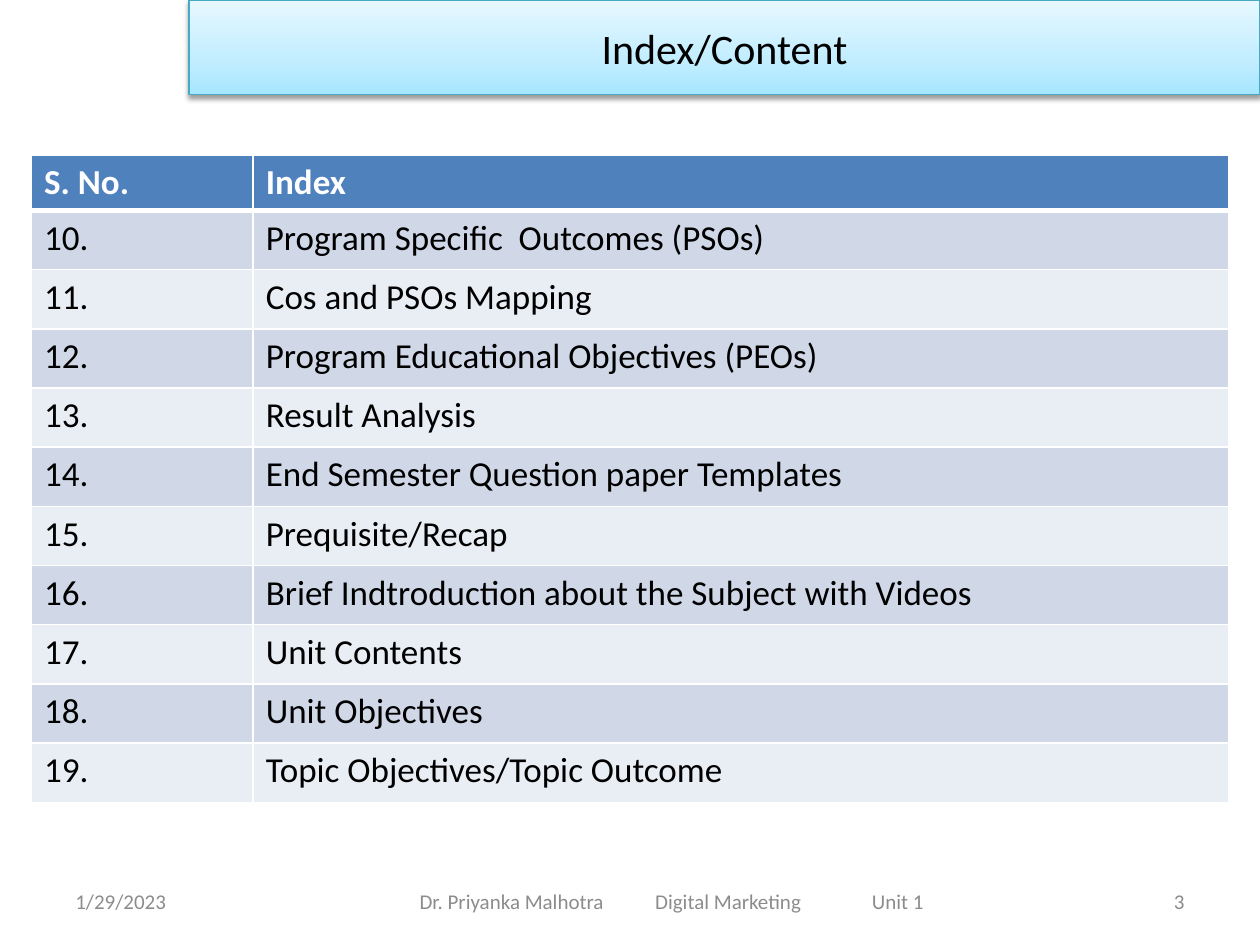
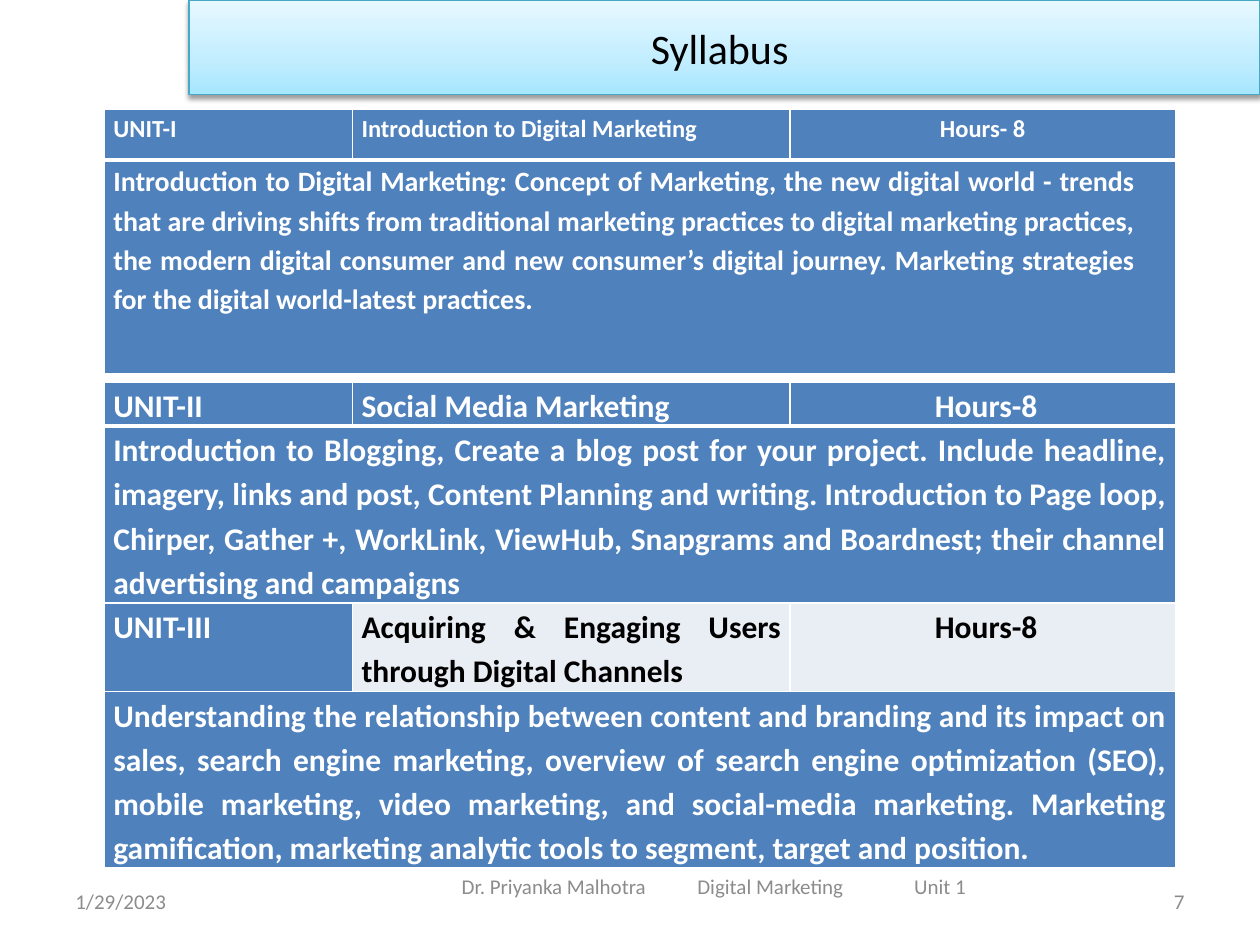
from lxml import etree
from pptx import Presentation
from pptx.dml.color import RGBColor
from pptx.enum.text import MSO_ANCHOR, PP_ALIGN
from pptx.oxml.ns import qn
from pptx.util import Inches, Pt

LEFT, MID, RIGHT, JUST = PP_ALIGN.LEFT, PP_ALIGN.CENTER, PP_ALIGN.RIGHT, PP_ALIGN.JUSTIFY
FONT = "Calibri"
COLOR = {
    "white": "FFFFFF", "black": "000000", "gray": "8C8C8C", "blue": "4F81BD",
    "dark": "D0D8E8", "pale": "E9EDF4", "edge": "46AAC5",
}
BAND = [(0, "A7E6FF"), (35, "C1EDFF"), (100, "E7F8FF")]
DATE = "1/29/2023"
NOTE = ["Dr. Priyanka Malhotra", "Digital Marketing", "Unit 1"]
STOPS = [1.87, 3.59]
SPAN = 4.0

TOPICS = [
    "Program Specific  Outcomes (PSOs)",
    "Cos and PSOs Mapping",
    "Program Educational Objectives (PEOs)",
    "Result Analysis",
    "End Semester Question paper Templates",
    "Prequisite/Recap",
    "Brief Indtroduction about the Subject with Videos",
    "Unit Contents",
    "Unit Objectives",
    "Topic Objectives/Topic Outcome",
]
FIRST = 10

UNIT_ONE = [
    ["UNIT-I", "Introduction to Digital Marketing", "Hours- 8"],
    ["Introduction to Digital Marketing: Concept of Marketing, the new digital world - trends "
     "that are driving shifts from traditional marketing practices to digital marketing "
     "practices, the modern digital consumer and new consumer’s digital journey. Marketing "
     "strategies for the digital world-latest practices."],
]
UNITS = [
    ["UNIT-II", "Social Media Marketing", " Hours-8"],
    ["Introduction to Blogging, Create a blog post for your project. Include headline, imagery, "
     "links and post, Content Planning and writing. Introduction to Page loop, Chirper, "
     "Gather +, WorkLink, ViewHub, Snapgrams and Boardnest; their channel advertising and "
     "campaigns "],
    ["UNIT-III", "Acquiring & Engaging Users through Digital Channels", " Hours-8"],
    ["Understanding the relationship between content and branding and its impact on sales, "
     "search engine marketing, overview of search engine optimization (SEO), mobile marketing, "
     "video marketing, and social-media marketing. Marketing gamification, marketing analytic "
     "tools to segment, target and position. "],
]
WIDTHS = [1.97, 3.47, 3.06]


def rgb(name):
    return RGBColor.from_string(COLOR[name])


def node(base, tag, **attrs):
    return etree.SubElement(base, qn(tag), {k: str(v) for k, v in attrs.items()})


def style(par, size, color, align=LEFT, bold=False):
    par.alignment = align
    for run in par.runs:
        font = run.font
        font.name, font.size, font.bold = FONT, Pt(size), bold
        font.color.rgb = rgb(color)


def add_band(slide, text):
    band = slide.shapes.title
    band.left, band.top = Inches(1.5), Inches(0)
    band.width, band.height = Inches(8.5), Inches(0.75)
    band.fill.gradient()
    band.fill.gradient_angle = 90
    stops = band._element.spPr.find(".//" + qn("a:gsLst"))
    stops.clear()
    for pos, shade in BAND:
        node(node(stops, "a:gs", pos=pos * 1000), "a:srgbClr", val=shade)
    band.line.color.rgb = rgb("edge")
    band.line.width = Pt(0.75)
    band.shadow.inherit = False
    glow = node(band._element.spPr.find(qn("a:effectLst")), "a:outerShdw",
                blurRad=Pt(3.1), dist=Pt(1.6), dir=5400000, rotWithShape=0)
    node(node(glow, "a:srgbClr", val=COLOR["black"]), "a:alpha", val=38000)
    frame = band.text_frame
    frame.text = text
    frame.vertical_anchor = MSO_ANCHOR.MIDDLE
    style(frame.paragraphs[0], 24, "black", MID)


def add_label(slide, text, left, top, width, align=LEFT):
    box = slide.shapes.add_textbox(Inches(left), Inches(top), Inches(width), Inches(0.4))
    frame = box.text_frame
    frame.word_wrap = True
    frame.vertical_anchor = MSO_ANCHOR.MIDDLE
    frame.text = text
    style(frame.paragraphs[0], 12, "gray", align)
    return frame


def add_foot(slide, number, left, top, width):
    add_label(slide, DATE, 0.5, 6.95, 2.33)
    add_label(slide, number, 7.17, 6.95, 2.33, RIGHT)
    frame = add_label(slide, "\t".join(NOTE), left, top, width)
    frame.margin_left = Inches((width - SPAN) / 2)
    tabs = node(frame.paragraphs[0]._p.get_or_add_pPr(), "a:tabLst")
    for stop in STOPS:
        node(tabs, "a:tab", pos=Inches(stop), algn="l")


def add_edges(cell, row):
    props = cell._tc.get_or_add_tcPr()
    thick = {"a:lnT": 3 if row == 1 else 1, "a:lnB": 3 if row == 0 else 1}
    for tag in ("a:lnL", "a:lnR", "a:lnT", "a:lnB"):
        line = node(props, tag, w=Pt(thick.get(tag, 1)))
        node(node(line, "a:solidFill"), "a:srgbClr", val=COLOR["white"])


def add_grid(slide, left, top, widths, heights):
    frame = slide.shapes.add_table(len(heights), len(widths), Inches(left), Inches(top),
                                   Inches(sum(widths)), Inches(sum(heights)))
    grid = frame.table
    for col, width in zip(grid.columns, widths):
        col.width = Inches(width)
    for row, height in zip(grid.rows, heights):
        row.height = Inches(height)
    return grid


def fill_cell(cell, row, text, fill, size, align=LEFT, bold=True):
    add_edges(cell, row)
    cell.fill.solid()
    cell.fill.fore_color.rgb = rgb(fill)
    cell.text = text
    par = cell.text_frame.paragraphs[0]
    style(par, size, "white" if fill == "blue" else "black", align, bold)
    return par


def add_index(slide):
    rows = [("S. No.", "Index")]
    rows += [(f"{num}.", topic) for num, topic in enumerate(TOPICS, FIRST)]
    grid = add_grid(slide, 0.25, 1.23, [1.76, 7.74], [0.4] + [0.47] * len(TOPICS))
    for r, row in enumerate(rows):
        fill = "blue" if r == 0 else ("pale", "dark")[r % 2]
        for c, text in enumerate(row):
            fill_cell(grid.cell(r, c), r, text, fill, 20, bold=r == 0)


def add_units(slide, rows, top, heights, sizes, inset=0):
    grid = add_grid(slide, 0.83, top, WIDTHS, heights)
    for r, (row, size) in enumerate(zip(rows, sizes)):
        whole = len(row) == 1
        if whole:
            grid.cell(r, 0).merge(grid.cell(r, 2))
        for c, text in enumerate(row):
            cell = grid.cell(r, c)
            fill = "pale" if r == 2 and c else "blue"
            align = JUST if whole else (LEFT, JUST, MID)[c]
            par = fill_cell(cell, r, text, fill, size, align)
            par.line_spacing = 1.15
            cell.margin_left = cell.margin_right = Inches(0.07)
            cell.margin_top = cell.margin_bottom = 0
            if whole and inset:
                par._p.get_or_add_pPr().set("marR", str(Inches(inset)))


def main():
    deck = Presentation()
    deck.slide_width, deck.slide_height = Inches(10), Inches(7.5)
    plain = deck.slide_layouts[5]

    index = deck.slides.add_slide(plain)
    add_band(index, "Index/Content")
    add_index(index)
    add_foot(index, "3", 1.83, 6.95, 7)

    units = deck.slides.add_slide(plain)
    add_band(units, "Syllabus ")
    add_units(units, UNIT_ONE, 0.87, [0.4, 1.7], [14, 16], 0.25)
    add_units(units, UNITS, 3.03, [0.33, 1.04, 0.69, 1.4], [18] * 4)
    add_foot(units, "7", 3.08, 6.83, 5.17)

    deck.save("out.pptx")


if __name__ == "__main__":
    main()
